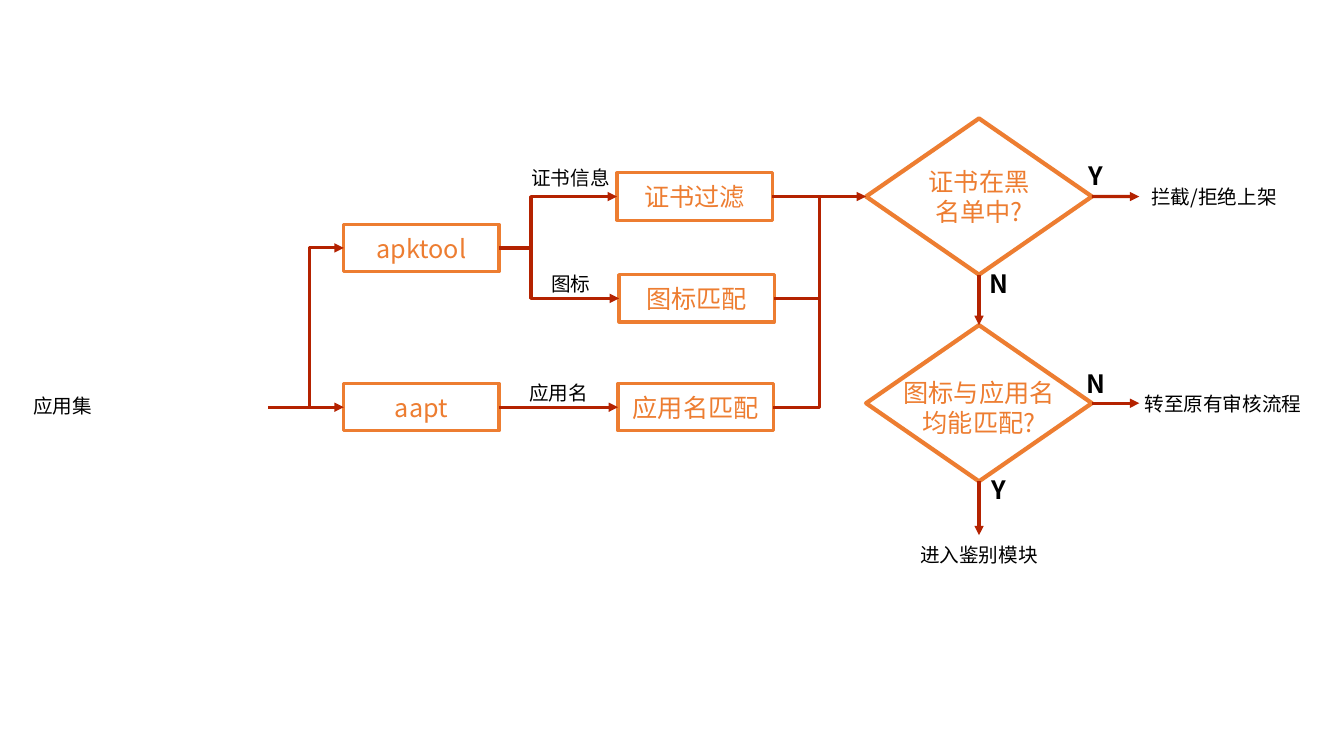
from dataclasses import dataclass
from typing import NamedTuple, Optional

from lxml import etree
from pptx import Presentation
from pptx import util as u
from pptx.dml.color import RGBColor
from pptx.enum import shapes, text
from pptx.oxml.ns import qn


@dataclass(frozen=True)
class Theme:
    face: str = "Noto Sans CJK SC"
    ink: str = "000000"
    edge: str = "ED7D31"
    flow: str = "B42200"
    paper: str = "FFFFFF"
    small: int = 14
    large: int = 18
    thin: float = 2.25
    thick: float = 3


class Node(NamedTuple):
    key: str
    words: str
    x: float  # centre
    y: float
    wide: float = 1.54
    high: float = 0.47
    kind: int = shapes.MSO_SHAPE.RECTANGLE
    size: int = 18
    ink: str = "ED7D31"
    edge: Optional[float] = 2.25
    fill: bool = True


class Label(NamedTuple):
    words: str
    x: float
    y: float
    wide: float = 1.08
    high: float = 0.27
    size: int = 14
    ink: str = "000000"
    bold: bool = False


class Spot(NamedTuple):
    """A free point, or a side of a node (0 top, 1 left, 2 bottom, 3 right)."""
    x: float = 0
    y: float = 0
    key: str = ""
    side: int = 0


class Link(NamedTuple):
    start: Spot
    end: Spot
    tip: bool = True


class Bend(NamedTuple):
    """An elbow line; its box is given before turning and flipping."""
    form: str
    x: float
    y: float
    wide: float
    high: float
    turn: int = 0
    flips: str = ""
    bend: Optional[float] = None
    tips: tuple = ()


look = Theme()
ROW1, ROW2, ROW3, ROW4 = 1.95, 2.46, 2.96, 4.04
MID, TEST = 9.71, 4.0
DIAMOND = dict(wide=2.24, high=1.55, kind=shapes.MSO_SHAPE.DIAMOND,
               edge=look.thick, fill=False)

NODES = [
    Node("set", "应用集", 0.62, 4.02, 0.92, 0.27, size=look.small,
         ink=look.ink, edge=None),
    Node("aapt", "aapt", 4.18, ROW4),
    Node("tool", "apktool", 4.18, ROW2),
    Node("cert", "证书过滤", 6.89, ROW1),
    Node("icon", "图标匹配", 6.91, ROW3),
    Node("name", "应用名匹配", 6.9, ROW4),
    Node("black", "", MID, ROW1, **DIAMOND),
    Node("match", "", MID, TEST, **DIAMOND),
]

ASK = dict(high=0.71, size=look.large, ink=look.edge)
MARK = dict(wide=0.39, size=look.large, bold=True)
LABELS = [
    Label("证书信息", 5.66, 1.76),
    Label("图标", 5.66, 2.81),
    Label("应用名", 5.54, 3.9),
    Label("证书在黑\v名单中?", MID, ROW1, 1.35, **ASK),
    Label("图标与应用名\v均能匹配?", MID, 4.04, 1.91, **ASK),
    Label("Y", 10.87, 1.74, **MARK),
    Label("N", 10.87, 3.8, **MARK),
    Label("N", 9.91, 2.81, **MARK),
    Label("Y", 9.91, 4.86, **MARK),
    Label("拦截/拒绝上架", 12.04, ROW1, 1.62),
    Label("转至原有审核流程", 12.13, TEST, 1.81),
    Label("进入鉴别模块", MID, 5.5, 1.81),
]

LINKS = [
    Link(Spot(2.66, ROW4), Spot(key="aapt", side=1)),
    Link(Spot(key="cert", side=3), Spot(key="black", side=1)),
    Link(Spot(key="tool", side=3), Spot(5.27, ROW2), False),
    Link(Spot(key="aapt", side=3), Spot(key="name", side=1)),
    Link(Spot(key="icon", side=3), Spot(8.13, ROW3), False),
    Link(Spot(key="black", side=2), Spot(key="match", side=0)),
    Link(Spot(key="match", side=2), Spot(MID, 5.31)),
    Link(Spot(key="black", side=3), Spot(11.3, ROW1)),
    Link(Spot(key="match", side=3), Spot(11.3, TEST)),
]

BENDS = [
    Bend("bentConnector2", 2.45, 3.08, 1.58, 0.34, 90, "HV",
         tips=("tailEnd",)),
    Bend("bentConnector2", 7.67, ROW1, 0.46, ROW4 - ROW1, flips="V"),
    Bend("bentConnector3", 6.12, ROW1, 0.02, ROW3 - ROW1, 180,
         bend=0.87 / 0.02, tips=("headEnd", "tailEnd")),
]


def write(shape, words: str, size: int, ink: str, bold: bool = False) -> None:
    frame = shape.text_frame
    for name, value in dict(word_wrap=False, text=words,
                            vertical_anchor=text.MSO_ANCHOR.MIDDLE).items():
        setattr(frame, name, value)
    para = frame.paragraphs[0]
    para.alignment = text.PP_ALIGN.CENTER
    for run in para.runs:
        for name, value in dict(name=look.face, size=u.Pt(size),
                                bold=bold).items():
            setattr(run.font, name, value)
        run.font.color.rgb = RGBColor.from_string(ink)
        east = etree.SubElement(run.font._element, qn("a:ea"))
        east.set("typeface", look.face)


def frame_of(item) -> list:
    return [u.Inches(n) for n in (item.x - item.wide / 2,
                                  item.y - item.high / 2,
                                  item.wide, item.high)]


def add_node(slide, node: Node):
    shape = slide.shapes.add_shape(node.kind, *frame_of(node))
    shape.shadow.inherit = False
    if node.fill:
        shape.fill.solid()
        shape.fill.fore_color.rgb = RGBColor.from_string(look.paper)
    else:
        shape.fill.background()
    if node.edge:
        shape.line.color.rgb = RGBColor.from_string(look.edge)
        shape.line.width = u.Pt(node.edge)
    else:
        shape.line.fill.background()
    if node.words:
        write(shape, node.words, node.size, node.ink)
    return shape


def add_label(slide, label: Label) -> None:
    box = slide.shapes.add_textbox(*frame_of(label))
    write(box, label.words, label.size, label.ink, label.bold)


def paint(line, tips: tuple) -> None:
    line.line.color.rgb = RGBColor.from_string(look.flow)
    line.line.width = u.Pt(look.thin)
    for tip in tips:
        etree.SubElement(line.line._ln, qn("a:" + tip)).set("type", "triangle")
    etree.SubElement(line._element.spPr, qn("a:effectLst"))


def add_link(slide, link: Link, made: dict) -> None:
    ends = [u.Inches(n) for n in (*link.start[:2], *link.end[:2])]
    line = slide.shapes.add_connector(shapes.MSO_CONNECTOR.STRAIGHT, *ends)
    for spot, join in ((link.start, line.begin_connect),
                       (link.end, line.end_connect)):
        if spot.key:
            join(made[spot.key], spot.side)
    paint(line, ("tailEnd",) if link.tip else ())


def add_bend(slide, bend: Bend) -> None:
    ends = (bend.x, bend.y, bend.x + bend.wide, bend.y + bend.high)
    line = slide.shapes.add_connector(shapes.MSO_CONNECTOR.ELBOW,
                                      *[u.Inches(n) for n in ends])
    props = line._element.spPr
    place, form = props.find(qn("a:xfrm")), props.find(qn("a:prstGeom"))
    place.set("rot", str(bend.turn * 60000))
    for flip in bend.flips:
        place.set("flip" + flip, "1")
    form.set("prst", bend.form)
    if bend.bend:
        guide = etree.SubElement(form.find(qn("a:avLst")), qn("a:gd"))
        guide.set("name", "adj1")
        guide.set("fmla", f"val {round(bend.bend * 100000)}")
    paint(line, bend.tips)


def main() -> None:
    deck = Presentation()
    deck.slide_width, deck.slide_height = u.Inches(13.33), u.Inches(7.5)
    slide = deck.slides.add_slide(deck.slide_layouts[6])
    made = {node.key: add_node(slide, node) for node in NODES}
    for link in LINKS:
        add_link(slide, link, made)
    for bend in BENDS:
        add_bend(slide, bend)
    for label in LABELS:
        add_label(slide, label)
    deck.save("out.pptx")


if __name__ == "__main__":
    main()
